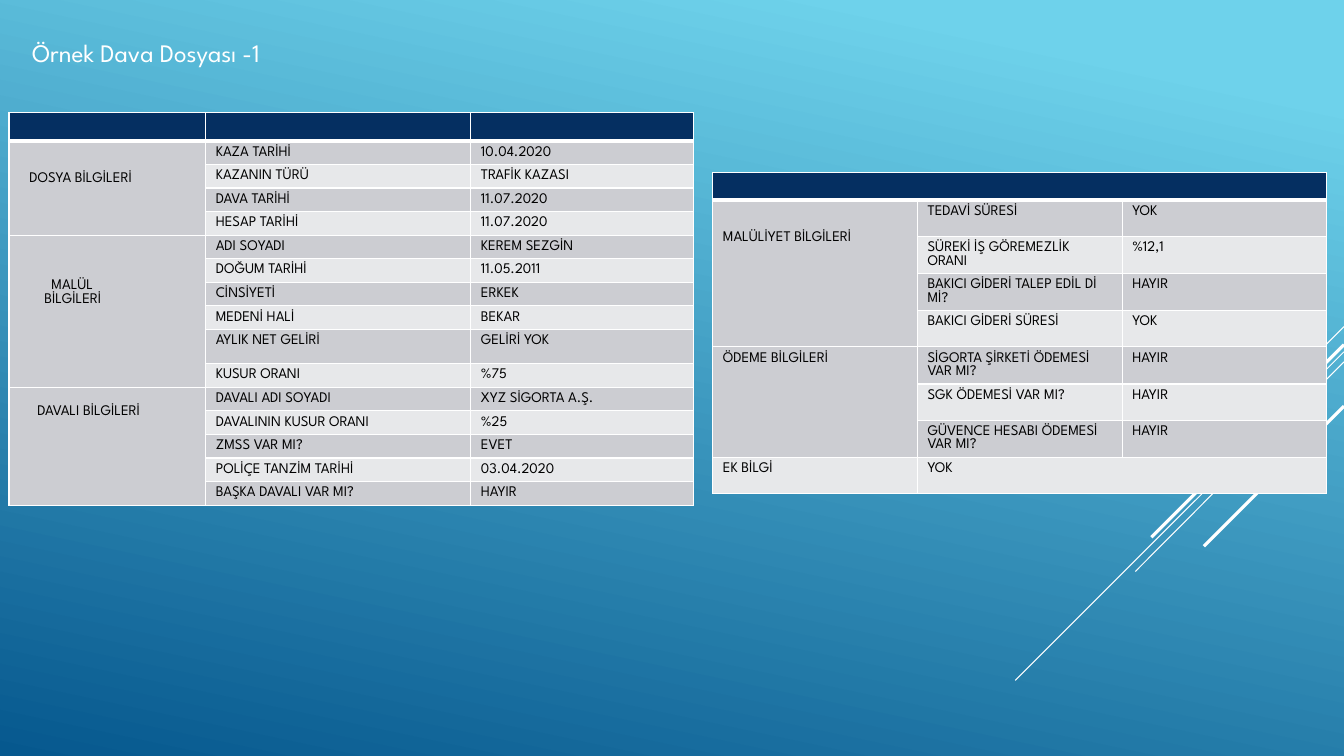
from lxml import etree
from pptx import Presentation
from pptx.dml.color import RGBColor
from pptx.enum.shapes import MSO_CONNECTOR as Connector
from pptx.enum.text import MSO_ANCHOR as Anchor
from pptx.oxml.ns import qn
from pptx.util import Inches, Pt

FONT = "League Spartan"
WHITE, BLACK, NAVY = "FFFFFF", "000000", "052F61"
STRIPES = ["E7E8EA", "CCCDD2"]
TEXT_SIZE = 10.5
LINE_HEIGHT = 0.13

# Each section: label lines with indents, lines skipped above, rows.
CASE_SECTIONS = [
    ([("DOSYA BİLGİLERİ", 0.1)], 2, [
        ("KAZA TARİHİ", "10.04.2020"),
        ("KAZANIN TÜRÜ", "TRAFİK KAZASI"),
        ("DAVA TARİHİ", "11.07.2020"),
        ("HESAP TARİHİ", "11.07.2020"),
    ]),
    ([("MALÜL", 0.32), ("BİLGİLERİ", 0.25)], 3, [
        ("ADI SOYADI", "KEREM SEZGİN"),
        ("DOĞUM TARİHİ", "11.05.2011"),
        ("CİNSİYETİ", "ERKEK"),
        ("MEDENİ HALİ", "BEKAR"),
        ("AYLIK NET GELİRİ", "GELİRİ YOK"),
        ("KUSUR ORANI", "%75"),
    ]),
    ([("DAVALI BİLGİLERİ", 0.18)], 1, [
        ("DAVALI ADI SOYADI", "XYZ SİGORTA A.Ş."),
        ("DAVALININ KUSUR ORANI", "%25"),
        ("ZMSS VAR MI?", "EVET"),
        ("POLİÇE TANZİM TARİHİ", "03.04.2020"),
        ("BAŞKA DAVALI VAR MI?", "HAYIR"),
    ]),
]
DISABILITY_SECTIONS = [
    ([("MALÜLİYET BİLGİLERİ", 0)], 2, [
        ("TEDAVİ SÜRESİ", "YOK"),
        ("SÜREKİ İŞ GÖREMEZLİK ORANI", "%12,1"),
        ("BAKICI GİDERİ TALEP EDİL Dİ Mİ?", "HAYIR"),
        ("BAKICI GİDERİ SÜRESİ", "YOK"),
    ]),
    ([("ÖDEME BİLGİLERİ", 0)], 0, [
        ("SİGORTA ŞİRKETİ ÖDEMESİ VAR MI?", "HAYIR"),
        ("SGK ÖDEMESİ VAR MI?", "HAYIR"),
        ("GÜVENCE HESABI ÖDEMESİ VAR MI?", "HAYIR"),
    ]),
    ([("EK BİLGİ", 0)], 0, [("YOK",)]),
]
RAYS = [
    (3.24, 12.33, 4.24, 0.75),
    (3.49, 10.07, 6.75, 0.75),
    (3.59, 11.26, 5.67, 0.75),
    (3.42, 11.42, 5.33, 2.25),
    (4.03, 11.94, 5.42, 2.25),
]


def color(value):
    """Turn a hex string into a colour."""
    return RGBColor.from_string(value)


def paint_background(slide):
    """Fill the background with the blue gradient."""
    fill = slide.background.fill
    fill.gradient()
    fill.gradient_angle = 258
    for stop, (position, shade) in zip(fill.gradient_stops, [(0.1, "6ED2EB"), (1, "06588E")]):
        stop.position = position
        stop.color.rgb = color(shade)


def add_ray(slide, top, left, bottom, width):
    """Draw a white diagonal that starts at the right edge."""
    ray = slide.shapes.add_connector(
        Connector.STRAIGHT, Inches(13.33), Inches(top), Inches(left), Inches(bottom))
    ray.line.color.rgb = color(WHITE)
    ray.line.width = Pt(width)
    etree.SubElement(ray._element.spPr, qn("a:effectLst"))


def add_run(paragraph, text, size, shade):
    """Append a run in the slide's font."""
    run = paragraph.add_run()
    run.text = text
    run.font.size = Pt(size)
    run.font.name = FONT
    run.font.color.rgb = color(shade)


def add_title(slide, text):
    """Place the slide title."""
    title = slide.shapes.add_textbox(Inches(0.22), Inches(0.32), Inches(11.23), Inches(0.4))
    frame = title.text_frame
    frame.word_wrap = True
    frame.vertical_anchor = Anchor.MIDDLE
    add_run(frame.paragraphs[0], text, 18, WHITE)


def style_cell(cell, shade, top=1, bottom=1):
    """Give a cell its fill, white borders and small empty-line size."""
    properties = cell._tc.get_or_add_tcPr()
    for side, width in [("L", 1), ("R", 1), ("T", top), ("B", bottom)]:
        border = etree.SubElement(properties, qn(f"a:ln{side}"), w=str(Pt(width)))
        solid = etree.SubElement(border, qn("a:solidFill"))
        etree.SubElement(solid, qn("a:srgbClr"), val=WHITE)
    cell.fill.solid()
    cell.fill.fore_color.rgb = color(shade)
    paragraph = cell.text_frame.paragraphs[0]
    etree.SubElement(paragraph._p, qn("a:endParaRPr"), sz=str(int(TEXT_SIZE * 100)))


def write_cell(cell, lines, skipped=0):
    """Write indented lines below a number of skipped lines."""
    cell.margin_top = Inches(0.05 + skipped * LINE_HEIGHT)
    frame = cell.text_frame
    for index, (text, indent) in enumerate(lines):
        paragraph = frame.add_paragraph() if index else frame.paragraphs[0]
        if indent:
            paragraph._p.get_or_add_pPr().set("marL", str(Inches(indent)))
        add_run(paragraph, text, TEXT_SIZE, BLACK)


def add_info_table(slide, left, top, widths, heights, sections):
    """Build a striped three-column table of labelled sections."""
    table = slide.shapes.add_table(
        len(heights), len(widths), Inches(left), Inches(top),
        Inches(sum(widths)), Inches(sum(heights))).table
    for column, width in zip(table.columns, widths):
        column.width = Inches(width)
    for index, (row, height) in enumerate(zip(table.rows, heights)):
        row.height = Inches(height)
        for cell in row.cells:
            style_cell(cell, STRIPES[index % 2] if index else NAVY,
                       top=3 if index == 1 else 1, bottom=1 if index else 3)
    first = 1
    for label, skipped, entries in sections:
        last = first + len(entries) - 1
        if last > first:
            table.cell(first, 0).merge(table.cell(last, 0))
        write_cell(table.cell(first, 0), label, skipped)
        for row, entry in enumerate(entries, first):
            if len(entry) == 1:
                table.cell(row, 1).merge(table.cell(row, 2))
            for column, text in enumerate(entry, 1):
                write_cell(table.cell(row, column), [(text, 0)])
        first = last + 1
    return table


def main():
    """Build and save the slide."""
    deck = Presentation()
    deck.slide_width, deck.slide_height = Inches(13.33), Inches(7.5)
    slide = deck.slides.add_slide(deck.slide_layouts[6])
    paint_background(slide)
    for ray in RAYS:
        add_ray(slide, *ray)
    add_info_table(slide, 0.09, 1.12, [1.95, 2.63, 2.21],
                   [0.23] * 9 + [0.34] + [0.23] * 6, CASE_SECTIONS)
    disability = add_info_table(slide, 7.07, 1.71, [2.03] * 3,
                                [0.23] + [0.36] * 8, DISABILITY_SECTIONS)
    disability.cell(0, 0).merge(disability.cell(0, 2))
    add_title(slide, "Örnek Dava Dosyası -1")
    deck.save("out.pptx")


if __name__ == "__main__":
    main()
